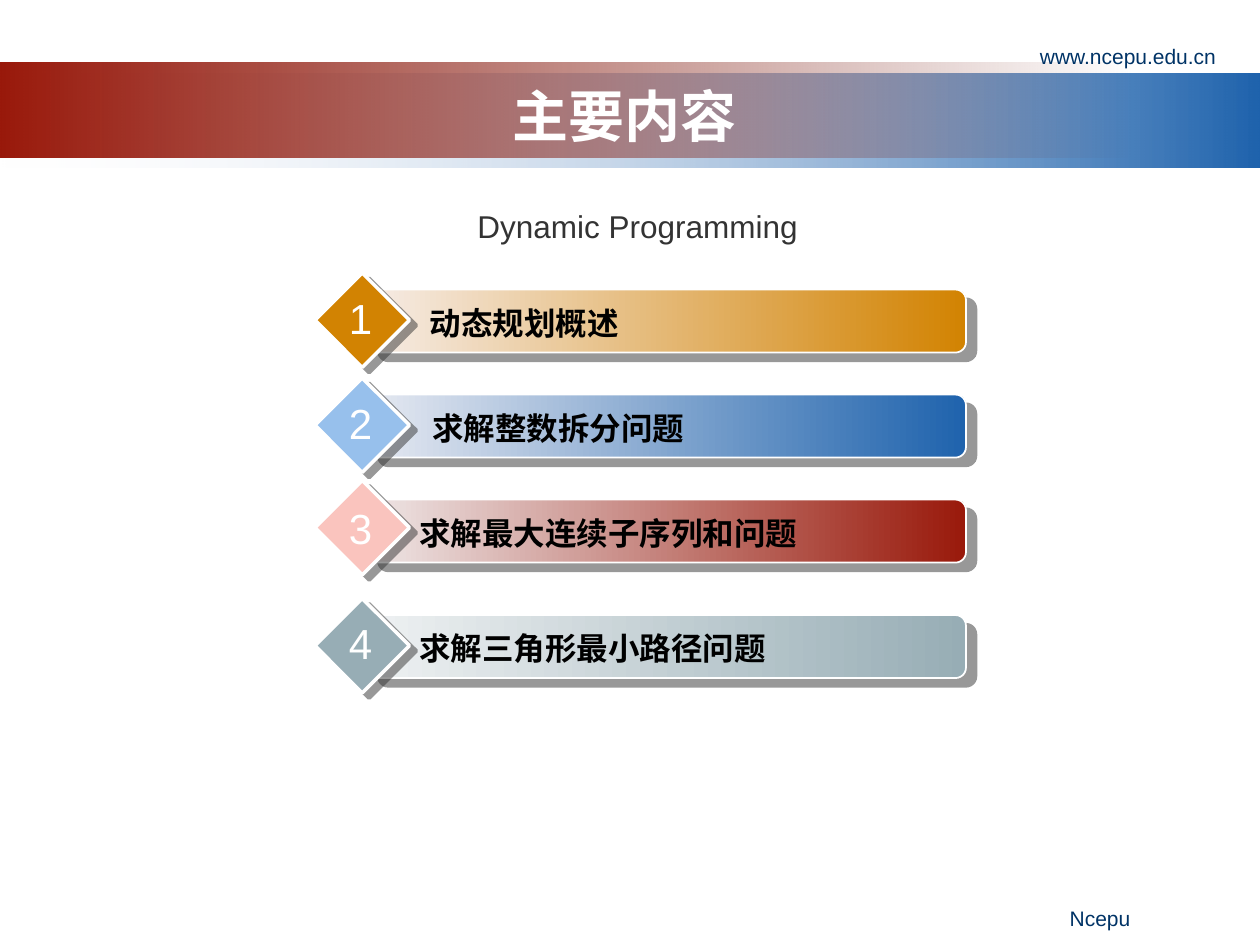
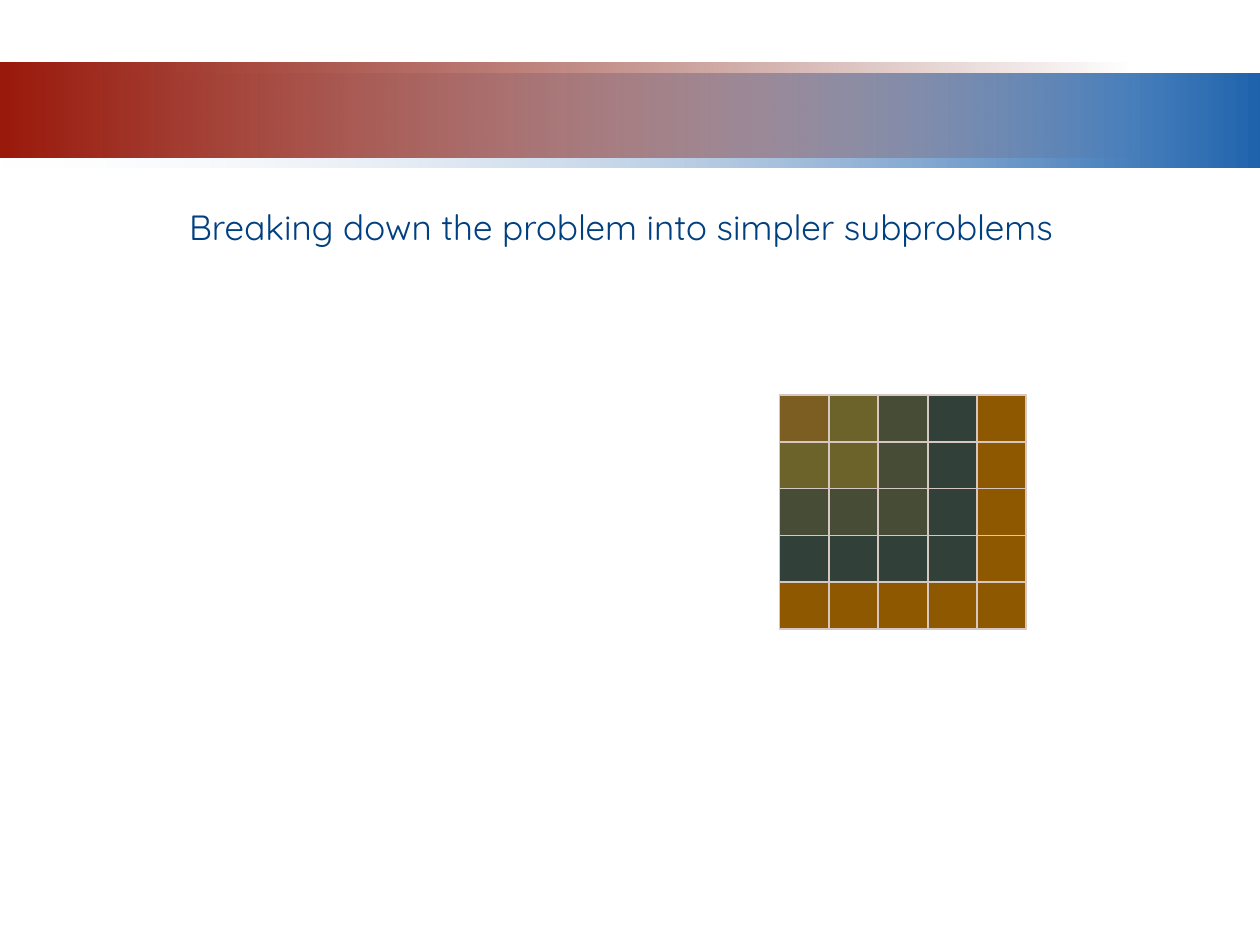
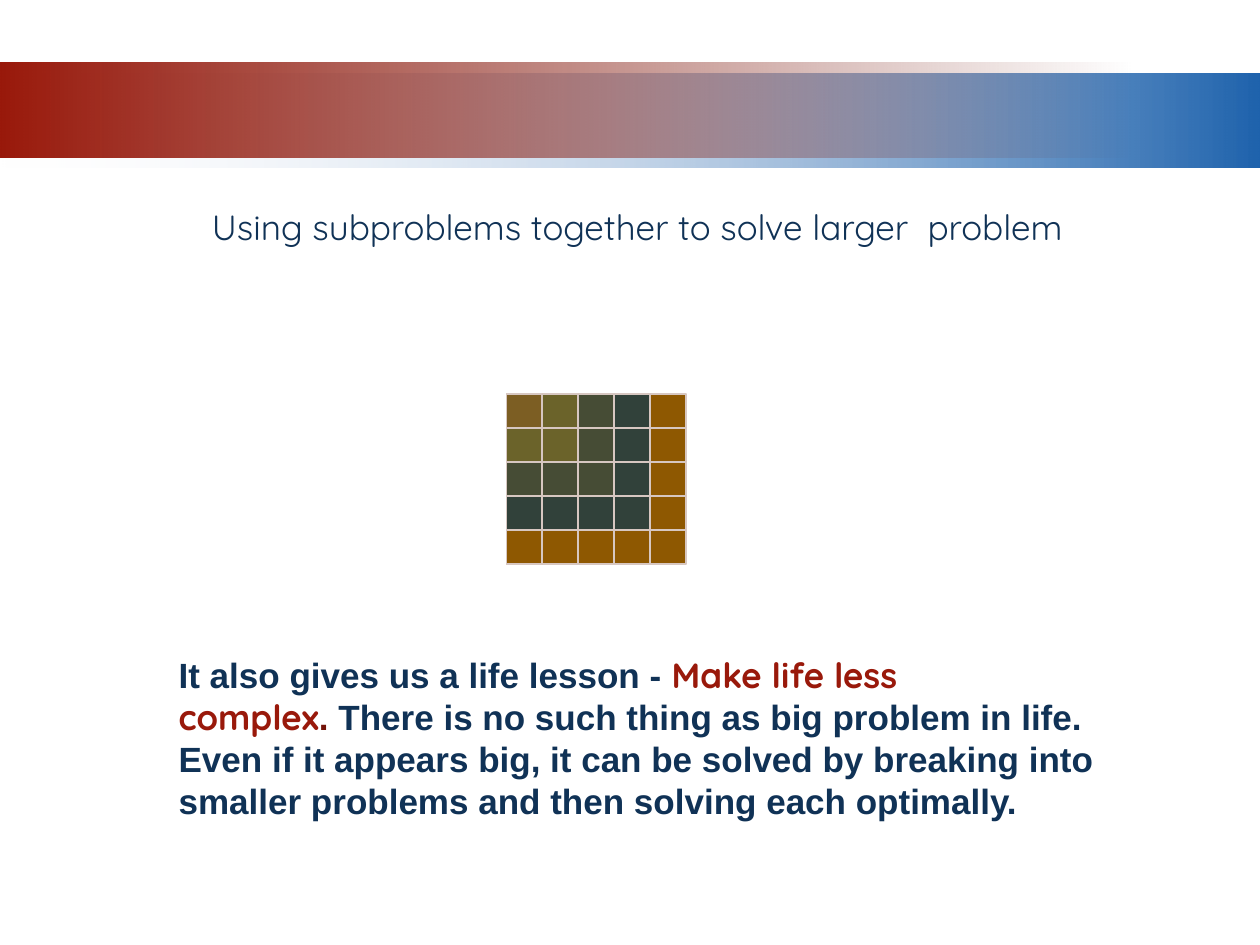
from dataclasses import dataclass

import lxml.etree
import pptx
import pptx.dml.color
import pptx.enum.shapes
import pptx.enum.text
import pptx.oxml.ns
import pptx.util

Pt = pptx.util.Pt
SHAPE = pptx.enum.shapes.MSO_SHAPE
ALIGN = pptx.enum.text.PP_ALIGN
ANCHOR = pptx.enum.text.MSO_ANCHOR
qn = pptx.oxml.ns.qn
NBSP = chr(160)


@dataclass(frozen=True)
class Theme:
    latin: str = "Arial"
    chinese: str = "Noto Sans CJK SC"
    rounded: str = "Quicksand"
    white: str = "FFFFFF"
    black: str = "000000"
    red: str = "99190B"
    dark_red: str = "6D1208"
    period_red: str = "731308"
    blue: str = "1F63AD"
    pale_blue: str = "F1F2F7"
    address: str = "003366"
    subtitle: str = "333333"
    heading_blue: str = "003F80"
    navy: str = "103256"
    shadow: str = "333333"
    cell_line: str = "D7C7C1"
    title_size: float = 32
    number_size: float = 24
    lead_size: float = 20
    label_size: float = 18
    small_size: float = 12


THEME = Theme()

# Label, its left edge, bar top, diamond top, diamond colour, bar colours
TOPICS = [
    ("动态规划概述", 238.5, 165.5, 156, "D28302", "F6ECE6", "D28302"),
    ("求解整数拆分问题", 240, 225.5, 216, "97C0EC", "E6E9F1", "1F63AD"),
    ("求解最大连续子序列和问题", 232.5, 285.5, 274.5, "FAC4BE", "EEE6E6", "99190B"),
    ("求解三角形最小路径问题", 232.5, 351.5, 342, "97ADB5", "EEF1F2", "97ADB5"),
]

# Side of the square in cells, colour, opacity in percent
SUBPROBLEMS = [
    (5, "8E5801", 100),
    (4, "31413A", 100),
    (3, "9C7822", 20),
    (2, "FFC000", 20),
    (1, "C34D07", 20),
]


def rgb(color):
    return pptx.dml.color.RGBColor.from_string(color)


def set_alpha(color_element, percent):
    alpha = lxml.etree.SubElement(color_element, qn("a:alpha"))
    alpha.set("val", str(percent * 1000))


def add_plain_shape(shapes, kind, left, top, width, height):
    shape = shapes.add_shape(kind, Pt(left), Pt(top), Pt(width), Pt(height))
    shape.shadow.inherit = False
    shape.line.fill.background()
    return shape


def fill_solid(shape, color, opacity=100):
    shape.fill.solid()
    shape.fill.fore_color.rgb = rgb(color)
    if opacity < 100:
        set_alpha(next(shape._element.spPr.iter(qn("a:srgbClr"))), opacity)


def fill_gradient(shape, colors, clear_stop=None):
    """Fill from left to right; the stop with index clear_stop is transparent."""
    shape.fill.gradient()
    shape.fill.gradient_angle = 0
    for stop, color in zip(shape.fill.gradient_stops, colors):
        stop.color.rgb = rgb(color)
    if clear_stop is not None:
        stops = list(shape._element.spPr.iter(qn("a:srgbClr")))
        set_alpha(stops[clear_stop], 0)


def outline(shape, color, width):
    shape.line.color.rgb = rgb(color)
    shape.line.width = Pt(width)


def drop_shadow(shape, distance, degrees):
    effects = shape._element.spPr.find(qn("a:effectLst"))
    shadow = lxml.etree.SubElement(effects, qn("a:outerShdw"))
    shadow.set("dist", str(int(Pt(distance))))
    shadow.set("dir", str(degrees * 60000))
    shadow.set("algn", "ctr")
    shadow.set("rotWithShape", "0")
    color = lxml.etree.SubElement(shadow, qn("a:srgbClr"))
    color.set("val", THEME.shadow)
    set_alpha(color, 50)


def style_span(span, size, color, font, bold=False):
    span.font.size = Pt(size)
    span.font.color.rgb = rgb(color)
    span.font.name = font
    span.font.bold = bold
    if font == THEME.chinese:
        east_asian = lxml.etree.SubElement(span._r.get_or_add_rPr(), qn("a:ea"))
        east_asian.set("typeface", font)


def add_box(shapes, left, top, width, height, wrap=True):
    box = shapes.add_textbox(Pt(left), Pt(top), Pt(width), Pt(height))
    box.text_frame.word_wrap = wrap
    return box


def add_text(shapes, text, place, size, color, font=THEME.latin,
             bold=False, align=ALIGN.LEFT, wrap=True):
    box = add_box(shapes, *place, wrap=wrap)
    box.text_frame.text = text
    para = box.text_frame.paragraphs[0]
    para.alignment = align
    style_span(para.runs[0], size, color, font, bold)
    return box


def add_page(deck):
    """Add a blank page with the two overlapping header bands."""
    page = deck.slides.add_slide(deck.slide_layouts[6])
    blue_band = add_plain_shape(page.shapes, SHAPE.RECTANGLE, 0, 42, 720, 54)
    fill_gradient(blue_band, (THEME.pale_blue, THEME.blue), clear_stop=0)
    red_band = add_plain_shape(page.shapes, SHAPE.RECTANGLE, 0, 36, 648, 54)
    fill_gradient(red_band, (THEME.red, THEME.dark_red), clear_stop=1)
    return page


def add_topic(page, number, label, label_left, bar_top, diamond_top,
              diamond_color, bar_start, bar_end):
    shapes = page.shapes.add_group_shape().shapes
    bar = add_plain_shape(shapes, SHAPE.ROUNDED_RECTANGLE, 210, bar_top, 342, 36)
    fill_gradient(bar, (bar_start, bar_end))
    outline(bar, THEME.white, 1)
    drop_shadow(bar, 7.8, 40)

    diamond = add_plain_shape(shapes, SHAPE.DIAMOND, 180, diamond_top, 54, 54)
    fill_solid(diamond, diamond_color)
    outline(diamond, THEME.white, 2)
    drop_shadow(diamond, 5, 37)

    add_text(shapes, label, (label_left, bar_top + 4.5, 270, 29),
             THEME.label_size, THEME.black, THEME.chinese, bold=True)
    add_text(shapes, str(number), (192, bar_top - 2, 28, 36),
             THEME.number_size, THEME.white, align=ALIGN.CENTER, wrap=False)


def add_subproblem_grid(page, left, top, cell_width, cell_height):
    """Stack ever smaller squares of cells in the top left corner."""
    for side, color, opacity in SUBPROBLEMS:
        shapes = page.shapes.add_group_shape().shapes
        for row in range(side):
            for column in range(side):
                if side == 5 and max(row, column) < 4:
                    continue  # the largest square shows only its outer edge
                cell = add_plain_shape(
                    shapes, SHAPE.RECTANGLE, left + column * cell_width,
                    top + row * cell_height, cell_width, cell_height)
                fill_solid(cell, color, opacity)
                outline(cell, THEME.cell_line, 1)


def add_lesson(page):
    box = add_box(page.shapes, 95, 370, 566, 104.5)
    para = box.text_frame.paragraphs[0]
    for text, color, font in [
        (f"It also gives us a life lesson -{NBSP}", THEME.navy, THEME.latin),
        ("Make life less complex", THEME.red, THEME.rounded),
        (f".{NBSP}", THEME.period_red, THEME.latin),
        ("There is no such thing as big problem in life. Even if it appears "
         "big, it can be solved by breaking into smaller problems and then "
         "solving each optimally.", THEME.navy, THEME.latin),
    ]:
        span = para.add_run()
        span.text = text
        style_span(span, THEME.lead_size, color, font, bold=True)


def build_contents(deck):
    page = add_page(deck)
    title = add_text(page.shapes, "主要内容", (66, 43.5, 582, 44.5),
                     THEME.title_size, THEME.white, THEME.chinese,
                     bold=True, align=ALIGN.CENTER)
    title.text_frame.vertical_anchor = ANCHOR.MIDDLE
    for text, place in [("www.ncepu.edu.cn", (534, 21.5, 168, 19.5)),
                        ("Ncepu", (425, 514, 228, 21.5))]:
        add_text(page.shapes, text, place, THEME.small_size, THEME.address,
                 align=ALIGN.RIGHT)
    for number, topic in enumerate(TOPICS, start=1):
        add_topic(page, number, *topic)
    add_text(page.shapes, "Dynamic Programming", (265.75, 115, 199.5, 29),
             THEME.label_size, THEME.subtitle, wrap=False)


def build_breakdown(deck):
    page = add_page(deck)
    add_subproblem_grid(page, 445.5, 225.6, 28.2, 26.8)
    add_text(page.shapes, "Breaking down the problem into simpler subproblems",
             (101, 114, 530.5, 31.5), THEME.lead_size, THEME.heading_blue,
             THEME.rounded, wrap=False)


def build_combination(deck):
    page = add_page(deck)
    add_subproblem_grid(page, 289.4, 225, 20.55, 19.5)
    add_lesson(page)
    add_text(page.shapes, "Using subproblems together to solve larger  problem",
             (114, 114, 522.5, 31.5), THEME.lead_size, THEME.navy,
             THEME.rounded, wrap=False)


def main():
    deck = pptx.Presentation()
    deck.slide_width = Pt(720)
    deck.slide_height = Pt(540)
    build_contents(deck)
    build_breakdown(deck)
    build_combination(deck)
    deck.save("out.pptx")


if __name__ == "__main__":
    main()
